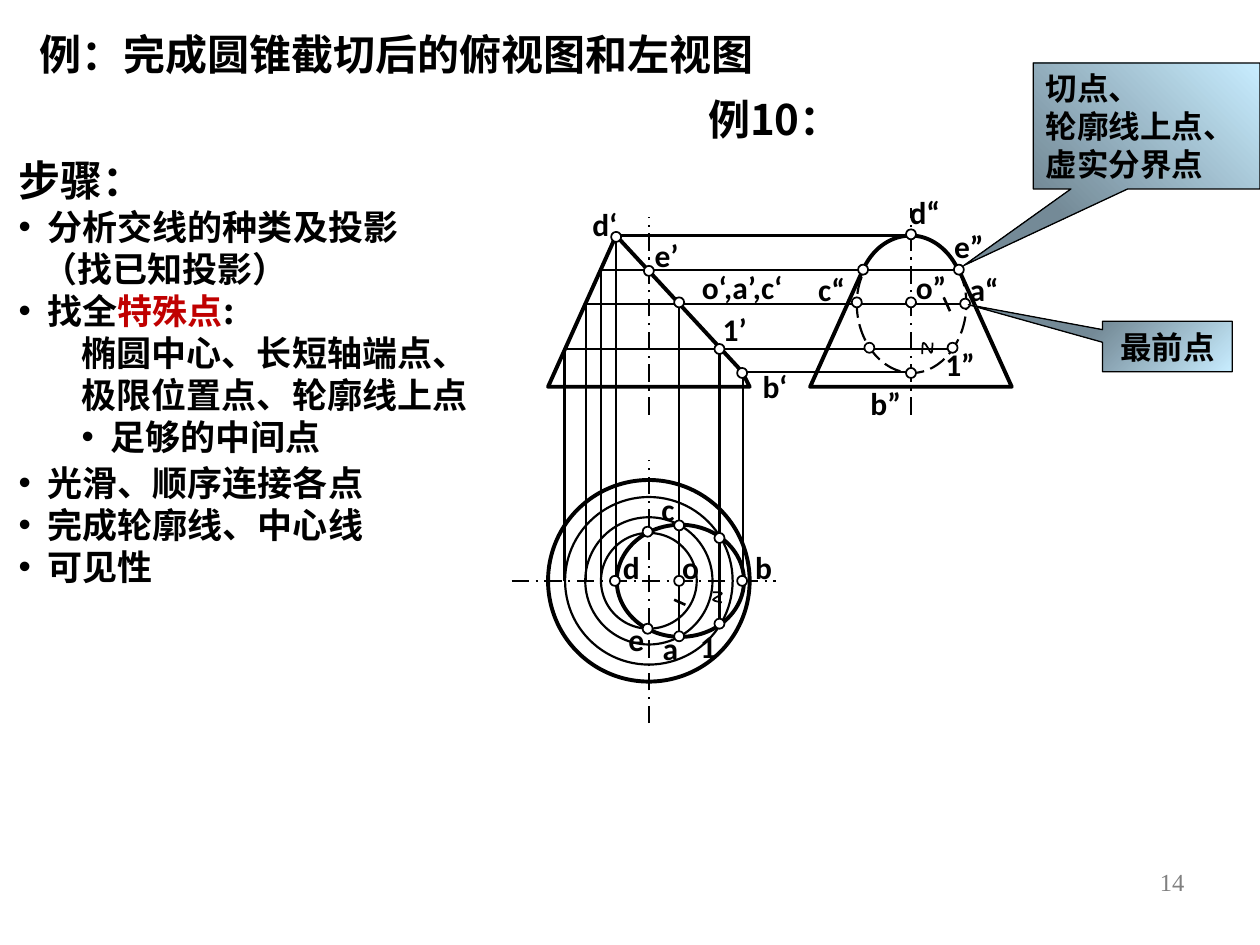
from dataclasses import dataclass
from typing import Optional

from lxml.etree import SubElement
from pptx import Presentation
from pptx.dml.color import RGBColor
from pptx.enum.dml import MSO_LINE
from pptx.enum.shapes import MSO_CONNECTOR, MSO_SHAPE
from pptx.enum.text import MSO_ANCHOR, PP_ALIGN
from pptx.oxml.ns import qn
from pptx.util import Inches, Pt

BLACK = RGBColor(0x00, 0x00, 0x00)
WHITE = RGBColor(0xFF, 0xFF, 0xFF)
RED = RGBColor(0xC0, 0x00, 0x00)
GRAY = RGBColor(0x80, 0x80, 0x80)
PALE_BLUE = RGBColor(0xC8, 0xED, 0xFF)
SLATE = RGBColor(0x74, 0x8A, 0x97)
CHINESE = "Noto Sans CJK SC"
THIN, THICK = 1.25, 2.25
HANGING = 0.23

X_D, X_AXIS, X_O, X_ONE, X_B = 4.89, 5.15, 5.39, 5.71, 5.89
Y_D, Y_E, Y_O, Y_ONE, Y_B = 1.87, 2.14, 2.41, 2.77, 2.95
X_SIDE, Y_PLAN, Y_BASE = 7.23, 4.61, 3.07


@dataclass
class Segment:
    x1: float
    y1: float
    x2: float
    y2: float
    width: float = THIN
    dash: Optional[MSO_LINE] = None


@dataclass
class Ellipse:
    x: float
    y: float
    width: float
    height: float
    line: float = THIN


@dataclass
class Label:
    text: str
    x: float
    y: float
    width: float = 0.45


@dataclass
class Line:
    text: str
    size: int = 20
    margin: float = 0
    bullet: bool = False
    highlight: str = ""


@dataclass
class Callout:
    lines: list[Line]
    frame: tuple[float, float, float, float]
    tip: tuple[float, float]
    angle: int
    align: PP_ALIGN


def outline(shape, width: float, dash: Optional[MSO_LINE] = None) -> None:
    shape.line.color.rgb = BLACK
    shape.line.width = Pt(width)
    if dash is not None:
        shape.line.dash_style = dash


def draw_segment(page, item: Segment) -> None:
    line = page.shapes.add_connector(
        MSO_CONNECTOR.STRAIGHT, *map(Inches, (item.x1, item.y1, item.x2, item.y2)))
    outline(line, item.width, item.dash)
    SubElement(line._element.spPr, qn("a:effectLst"))


def draw_ellipse(page, item: Ellipse) -> None:
    ellipse = page.shapes.add_shape(MSO_SHAPE.OVAL, *map(Inches, (
        item.x - item.width / 2, item.y - item.height / 2, item.width, item.height)))
    ellipse.shadow.inherit = False
    ellipse.fill.background()
    outline(ellipse, item.line)


def draw_outline(page, points, width: float, closed=False, dash=None):
    corners = [(Inches(x), Inches(y)) for x, y in points]
    builder = page.shapes.build_freeform(*corners[0])
    builder.add_line_segments(corners[1:], close=closed)
    shape = builder.convert_to_shape()
    shape.shadow.inherit = False
    shape.fill.background()
    outline(shape, width, dash)
    return shape


def draw_curve(page, controls, width: float, dash=None) -> None:
    shape = draw_outline(page, controls, width, dash=dash)
    steps = list(shape._element.iter(qn("a:lnTo")))
    for start in range(0, len(steps), 3):
        first, *others = steps[start:start + 3]
        first.tag = qn("a:cubicBezTo")
        for step in others:
            first.append(step[0])
            step.getparent().remove(step)


def draw_point(page, x: float, y: float) -> None:
    point = page.shapes.add_shape(
        MSO_SHAPE.FLOWCHART_CONNECTOR, *map(Inches, (x - 0.04, y - 0.04, 0.08, 0.08)))
    point.shadow.inherit = False
    point.fill.solid()
    point.fill.fore_color.rgb = WHITE
    outline(point, 1)


def style(para, size: int, name: str, color=BLACK, bold=True) -> None:
    font = para.font
    font.size, font.name, font.bold = Pt(size), name, bold
    font.color.rgb = color
    if name == CHINESE:
        SubElement(font._element, qn("a:ea"), typeface=name)


def write_lines(frame, lines: list[Line], align=PP_ALIGN.LEFT) -> None:
    frame.word_wrap = True
    frame.vertical_anchor = MSO_ANCHOR.MIDDLE
    for number, line in enumerate(lines):
        para = frame.add_paragraph() if number else frame.paragraphs[0]
        para.alignment = align
        para.line_spacing = Pt(line.size * 1.2)
        properties = para._p.get_or_add_pPr()
        properties.set("marL", str(Inches(line.margin)))
        properties.set("indent", str(Inches(-HANGING if line.bullet else 0)))
        if line.bullet:
            SubElement(SubElement(properties, qn("a:buClr")), qn("a:srgbClr"), val=str(BLACK))
            SubElement(properties, qn("a:buFont"), typeface="Arial")
            SubElement(properties, qn("a:buChar"), char="•")
        style(para, line.size, CHINESE)
        before, mark, after = line.text.partition(line.highlight or "\n")
        for text in filter(None, (before, mark, after)):
            span = para.add_run()
            span.text = text
            if text == line.highlight:
                span.font.color.rgb = RED


def add_box(page, x: float, y: float, width: float, height: float):
    return page.shapes.add_textbox(*map(Inches, (x, y, width, height))).text_frame


def draw_label(page, label: Label) -> None:
    frame = add_box(page, label.x - label.width / 2, label.y - 0.2, label.width, 0.4)
    frame.word_wrap = False
    frame.vertical_anchor = MSO_ANCHOR.MIDDLE
    para = frame.paragraphs[0]
    para.text = label.text
    para.alignment = PP_ALIGN.CENTER
    style(para, 18, "Calibri")


def draw_callout(page, callout: Callout) -> None:
    shape = page.shapes.add_shape(MSO_SHAPE.RECTANGULAR_CALLOUT, *map(Inches, callout.frame))
    shape.shadow.inherit = False
    shape.adjustments[0], shape.adjustments[1] = callout.tip
    shape.fill.gradient()
    shape.fill.gradient_angle = callout.angle
    for stop, color in zip(shape.fill.gradient_stops, (PALE_BLUE, SLATE)):
        stop.color.rgb = color
    outline(shape, 0.75)
    write_lines(shape.text_frame, callout.lines, callout.align)


AXIS = MSO_LINE.LONG_DASH_DOT
SEGMENTS = [
    Segment(4.06, Y_PLAN, 6.16, Y_PLAN, dash=AXIS), Segment(X_AXIS, 5.74, X_AXIS, 3.65, dash=AXIS),
    Segment(X_AXIS, 3.29, X_AXIS, 1.72, dash=AXIS), Segment(X_SIDE, 3.29, X_SIDE, 1.65, dash=AXIS),
    Segment(X_D, Y_D, X_D, Y_PLAN), Segment(X_O, Y_O, X_O, 5.05),
    Segment(X_ONE, Y_ONE, X_ONE, 4.95), Segment(5.9, Y_B, 5.9, Y_PLAN),
    Segment(X_D, Y_D, 7.21, Y_D), Segment(4.77, Y_E, 7.59, Y_E),
    Segment(4.66, Y_O, 7.66, Y_O), Segment(4.47, Y_ONE, 7.56, Y_ONE),
    Segment(X_B, Y_B, X_SIDE, Y_B), Segment(4.65, Y_PLAN, 4.65, Y_O),
    Segment(4.77, Y_PLAN, 4.77, Y_E), Segment(4.48, Y_PLAN, 4.48, Y_ONE),
    Segment(5.35, 4.76, 5.44, 4.8, 1.5), Segment(7.49, 2.36, 7.54, 2.47, 1.5),
]
ELLIPSES = [Ellipse(X_AXIS, Y_PLAN, 1.6, 1.6, THICK), Ellipse(5.4, Y_PLAN, 1.01, 0.89, THICK)]
ELLIPSES += [Ellipse(X_AXIS, Y_PLAN, size, size) for size in (1.01, 0.76, 1.33)]
POINTS = [
    (X_D, 1.88), (X_AXIS, 2.15), (X_O, 2.4), (X_ONE, Y_ONE), (X_B, 2.96),
    (X_O, Y_PLAN), (X_O, 4.17), (X_O, 5.05), (5.89, Y_PLAN), (4.88, Y_PLAN),
    (5.14, 4.22), (5.14, 4.99), (X_ONE, 4.27), (X_ONE, 4.95),
    (X_SIDE, 1.86), (X_SIDE, 2.4), (X_SIDE, 2.96), (6.8, 2.4), (7.66, 2.41),
    (6.9, 2.76), (7.56, 2.76), (6.85, Y_E), (7.61, Y_E),
]
LABELS = [
    Label("o‘,a’,c‘", 5.89, 2.28, 0.94), Label("o”", 7.39, 2.28), Label("a“", 7.81, 2.29),
    Label("b‘", 6.15, 3.06), Label("d‘", 4.8, 1.78), Label("a", 5.32, 5.14),
    Label("c", 5.3, 4.04), Label("o", 5.48, 4.5), Label("1’", 5.83, 2.61),
    Label("1", 5.62, 5.13), Label("d", 5.01, 4.5), Label("b", 6.06, 4.5),
    Label("b”", 7.03, 3.2), Label("d“", 7.34, 1.68), Label("c“", 6.6, 2.29),
    Label("e’", 5.29, 2.02), Label("1”", 7.62, 2.89), Label("e”", 7.69, 1.95),
    Label("e", 5.05, 5.07),
]
STEPS = [
    Line("步骤：", 24), Line("分析交线的种类及投影", margin=HANGING, bullet=True),
    Line("（找已知投影）", margin=0.19),
    Line("找全特殊点:", margin=HANGING, bullet=True, highlight="特殊点"),
    Line("椭圆中心、长短轴端点、", margin=0.5), Line("极限位置点、轮廓线上点", margin=0.5),
    Line("足够的中间点", margin=0.5 + HANGING, bullet=True),
]
FINISH = [Line(text, margin=HANGING, bullet=True)
          for text in ("光滑、顺序连接各点", "完成轮廓线、中心线", "可见性")]
CALLOUTS = [
    Callout([Line(text, 18) for text in ("切点、", "轮廓线上点、", "虚实分界点")],
            (8.2, 0.5, 1.8, 1), (-0.806, 1.108), 225, PP_ALIGN.LEFT),
    Callout([Line("最前点", 18)], (8.75, 2.55, 1.03, 0.4), (-1.534, -0.829), 135, PP_ALIGN.CENTER),
]
UPPER_ARC = [(6.86, 2.12), (6.94, 1.96), (7.08, 1.87), (7.23, 1.87),
             (7.38, 1.87), (7.52, 1.97), (7.6, 2.13)]
HIDDEN_ARC = [(7.61, 2.14), (7.65, 2.23), (7.67, 2.32), (7.67, 2.41), (7.67, 2.71), (7.47, 2.96),
              (7.24, 2.96), (7, 2.96), (6.8, 2.71), (6.8, 2.41), (6.8, 2.32), (6.82, 2.23), (6.86, 2.15)]
PLAN_MARK = [(5.66, 4.7), (5.7, 4.7), (5.73, 4.7), (5.73, 4.71), (5.73, 4.72), (5.66, 4.75),
             (5.66, 4.76), (5.66, 4.77), (5.72, 4.78), (5.73, 4.78)]
SIDE_MARK = [(7.32, 2.81), (7.32, 2.76), (7.32, 2.72), (7.33, 2.72), (7.35, 2.72), (7.38, 2.8),
             (7.39, 2.8), (7.4, 2.8), (7.4, 2.76), (7.4, 2.72)]


def main() -> None:
    deck = Presentation()
    deck.slide_width, deck.slide_height = Inches(10), Inches(7.5)
    page = deck.slides.add_slide(deck.slide_layouts[5])
    title = page.shapes.title
    title.left, title.top, title.width, title.height = map(Inches, (0.21, 0.18, 6.8, 0.5))
    write_lines(title.text_frame, [Line("例：完成圆锥截切后的俯视图和左视图", 24)])
    for segment in SEGMENTS:
        draw_segment(page, segment)
    for ellipse in ELLIPSES:
        draw_ellipse(page, ellipse)
    draw_outline(page, [(6.85, Y_E), (6.43, Y_BASE), (8.03, Y_BASE), (7.61, Y_E)], THICK)
    draw_outline(page, [(5.95, Y_BASE), (X_B, Y_B), (X_D, Y_D), (4.35, Y_BASE)], THICK, closed=True)
    draw_curve(page, UPPER_ARC, THICK)
    draw_curve(page, HIDDEN_ARC, THIN, MSO_LINE.LONG_DASH)
    for mark in (PLAN_MARK, SIDE_MARK):
        draw_curve(page, mark, 1)
    for point in POINTS:
        draw_point(page, *point)
    for label in LABELS:
        draw_label(page, label)
    write_lines(add_box(page, 0.05, 1.18, 9.95, 2.5), STEPS)
    write_lines(add_box(page, 0.05, 3.61, 3.76, 1.1), FINISH)
    write_lines(add_box(page, 5.38, 0.69, 1.54, 0.5), [Line("例10：", 24)], PP_ALIGN.CENTER)
    for callout in CALLOUTS:
        draw_callout(page, callout)
    number = add_box(page, 7.17, 6.83, 2.33, 0.52).paragraphs[0]
    number.text = "14"
    number.alignment = PP_ALIGN.RIGHT
    style(number, 14, "Times New Roman", GRAY, bold=False)
    deck.save("out.pptx")


if __name__ == "__main__":
    main()
